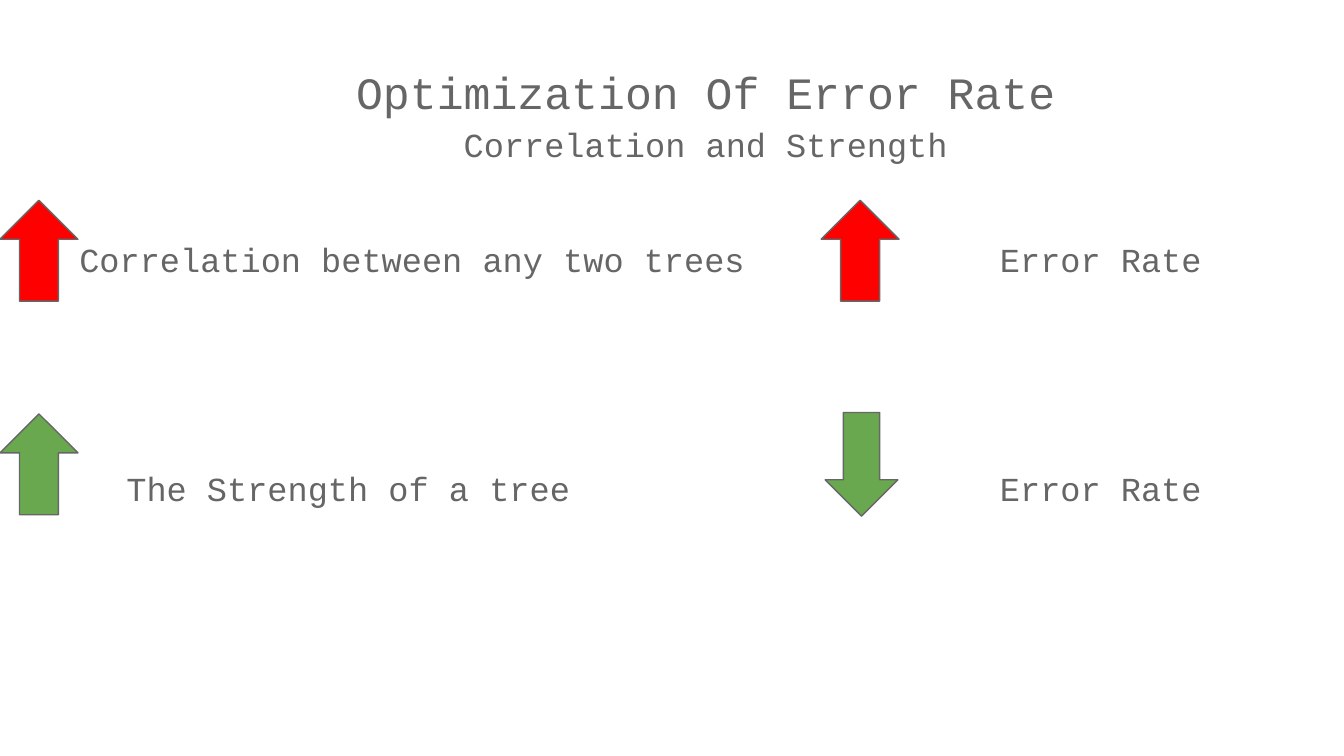
from dataclasses import dataclass

from lxml import etree
from pptx import Presentation
from pptx.dml.color import RGBColor
from pptx.enum import shapes, text
from pptx.oxml.ns import qn
from pptx.util import Inches, Pt


@dataclass(frozen=True)
class Theme:
    font: str = "Courier New"
    ink: str = "666666"
    bad: str = "FF0000"
    good: str = "6AA84F"
    title_size: int = 24
    body_size: int = 18
    line_width: float = 0.75
    spacing: float = 1.15


THEME = Theme()
UP = shapes.MSO_SHAPE.UP_ARROW
DOWN = shapes.MSO_SHAPE.DOWN_ARROW


def add_text(p, words, size=THEME.body_size, color=THEME.ink):
    r = p.add_run()
    r.text = words
    r.font.name = THEME.font
    r.font.size = Pt(size)
    r.font.color.rgb = RGBColor.from_string(color)
    return r


def place_frame(sp, box):
    sp.left, sp.top, sp.width, sp.height = (Inches(v) for v in box)
    tf = sp.text_frame
    tf.word_wrap = True
    tf.auto_size = text.MSO_AUTO_SIZE.NONE
    tf.vertical_anchor = text.MSO_ANCHOR.TOP
    tf.margin_left = tf.margin_right = Inches(0.1)
    tf.margin_top = tf.margin_bottom = Inches(0.1)
    return tf


def format_paragraph(p, align, margin=0, first_line=0, before=0):
    p.alignment = align
    p.line_spacing = THEME.spacing
    p.space_before = Pt(before)
    p.space_after = Pt(0)
    # Indents, tab distance and bullet have no public methods
    pPr = p._p.get_or_add_pPr()
    pPr.set("marL", str(Inches(margin)))
    pPr.set("indent", str(Inches(first_line)))
    pPr.set("defTabSz", str(Inches(1)))
    etree.SubElement(pPr, qn("a:buNone"))


def add_heading(sp, box, title, subtitle):
    p = place_frame(sp, box).paragraphs[0]
    format_paragraph(p, text.PP_ALIGN.CENTER, margin=0.5)
    add_text(p, title, size=THEME.title_size)
    p.add_line_break()
    add_text(p, subtitle)


def add_statements(sp, box, rows):
    tf = place_frame(sp, box)
    for i, (words, first_line) in enumerate(rows):
        p = tf.add_paragraph() if i else tf.paragraphs[0]
        format_paragraph(p, text.PP_ALIGN.LEFT, first_line=first_line,
                         before=98 if i else 0)
        add_text(p, words)


def add_arrow(slide, kind, box, color):
    sp = slide.shapes.add_shape(kind, *(Inches(v) for v in box))
    sp.shadow.inherit = False
    sp.fill.solid()
    sp.fill.fore_color.rgb = RGBColor.from_string(color)
    sp.line.color.rgb = RGBColor.from_string(THEME.ink)
    sp.line.width = Pt(THEME.line_width)


def add_arrows(slide, box):
    left, top, width, height = box
    effect_x, row_y = left + 6.11, top + 1.59
    add_arrow(slide, UP, (left, top, width, height), THEME.bad)
    add_arrow(slide, DOWN, (effect_x + 0.03, row_y - 0.01,
                            width - 0.04, height + 0.02), THEME.good)
    add_arrow(slide, UP, (effect_x, top, width, height), THEME.bad)
    add_arrow(slide, UP, (left, row_y, width, height), THEME.good)


def main():
    prs = Presentation()
    prs.slide_width = Inches(10)
    prs.slide_height = prs.slide_width * 9 // 16
    slide = prs.slides.add_slide(prs.slide_layouts[1])

    # Heading
    add_heading(slide.shapes.title, (0.34, 0.32, 9.32, 0.88),
                "Optimization Of Error Rate", "Correlation and Strength")

    # Cause and effect statements
    add_statements(slide.placeholders[1], (0.34, 1.63, 9.32, 3.65), [
        ("Correlation between any two trees\t\tError Rate", 0.15),
        ("The Strength of a tree\t\t\t\tError Rate", 0.5),
    ])

    # Arrows beside each cause and effect
    add_arrows(slide, (0, 1.49, 0.58, 0.75))
    prs.save("out.pptx")


if __name__ == "__main__":
    main()
